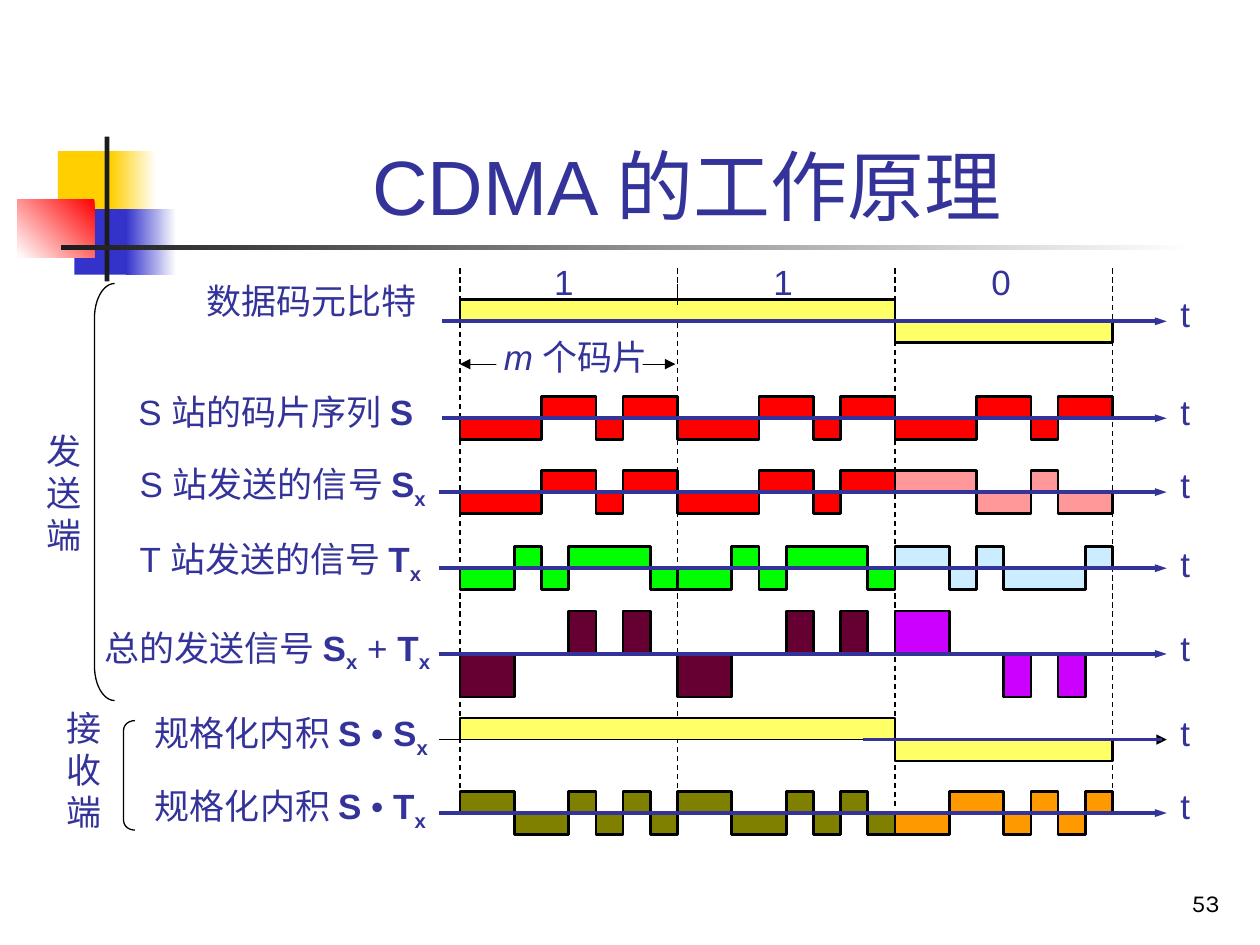
from lxml.etree import SubElement
from pptx import Presentation
from pptx.dml.color import RGBColor
from pptx.enum.dml import MSO_LINE as Dash
from pptx.enum.shapes import MSO_CONNECTOR as Connector, MSO_SHAPE as Shape
from pptx.enum.text import MSO_ANCHOR as Anchor, MSO_AUTO_SIZE as AutoSize, PP_ALIGN as Align
from pptx.oxml.ns import qn
from pptx.util import Pt

BLACK = RGBColor(0, 0, 0)
WHITE = RGBColor(255, 255, 255)
INDIGO = RGBColor(0x33, 0x33, 0x99)
CHARCOAL = RGBColor(0x1C, 0x1C, 0x1C)
GOLD = RGBColor(0xFF, 0xCF, 0x01)
BLUE = RGBColor(0x33, 0x33, 0xCC)
RED = RGBColor(0xFF, 0, 0)
PINK = RGBColor(0xFF, 0x99, 0x99)
GREEN = RGBColor(0, 0xFF, 0)
SKY = RGBColor(0xCC, 0xEC, 0xFF)
MAROON = RGBColor(0x66, 0, 0x33)
VIOLET = RGBColor(0xCC, 0, 0xFF)
OLIVE = RGBColor(0x80, 0x80, 0)
ORANGE = RGBColor(0xFF, 0x99, 0)
YELLOW = RGBColor(0xFF, 0xFF, 0x66)

TITLE = "CDMA 的工作原理 "
BITS = [("1", 309.6), ("1", 434.9), ("0", 559.4)]
SIDES = [("发\n送\n端", 19.4, 241.9), ("接\n收\n端", 31, 400.3)]
BRACKETS = [(54, 162, 11.5, 238.3, 1.72), (70.6, 411.8, 6.5, 62.6, 0.83)]

DECOR = [
    (33.1, 86.4, 34.6, 37.4, [GOLD], 0),
    (63.4, 86.4, 25.9, 37.4, [WHITE, GOLD], 180),
    (42.5, 119.5, 33.1, 37.4, [BLUE], 0),
    (72, 119.5, 28.8, 37.4, [WHITE, BLUE], 180),
    (10.1, 113.8, 43.9, 33.1, [RED, WHITE], 225),
    (59.8, 78, 2.7, 82.8, [CHARCOAL], 0),
    (34.6, 140.2, 648, 2.7, [WHITE, CHARCOAL], 180),
]

S_CODE = [-1, -1, -1, 1, 1, -1, 1, 1]
T_CODE = [-1, -1, 1, -1, 1, 1, 1, -1]
TOTAL = [s + t for s, t in zip(S_CODE, T_CODE)]
PRODUCT = [s * t for s, t in zip(S_CODE, T_CODE)]
DATA = [1] * 16 + [-1] * 8


def bits_110(code, one_colour, zero_colour):
    return [(code, one_colour), (code, one_colour), ([-level for level in code], zero_colour)]


ROWS = [
    dict(axis=183.6, start=252.7, t_top=163.4, at=(110.9, 156.2, 134.6, 31.7),
         label=[("数据码元比特", "")], waves=[(DATA, YELLOW)]),
    dict(axis=239, start=252.7, t_top=219.6, at=(72, 223.2, 184, 28), spacing=0.85,
         label=[("S 站的码片序列 ", ""), ("S", "b")], waves=[(S_CODE, RED)] * 3),
    dict(axis=281.2, start=250.6, t_top=261.4, at=(72.7, 260.6, 190, 34.6),
         label=[("S 站发送的信号 ", ""), ("S", "b"), ("x", "sub")],
         waves=bits_110(S_CODE, RED, PINK)),
    dict(axis=324.7, start=250.6, t_top=306.7, at=(72.7, 303.8, 187, 34.6),
         label=[("T 站发送的信号 ", ""), ("T", "b"), ("x", "sub")],
         waves=bits_110(T_CODE, GREEN, SKY)),
    dict(axis=373.7, start=250.6, t_top=354.2, at=(52.6, 354.2, 207, 34.6),
         label=[("总的发送信号 ", ""), ("S", "b"), ("x", "sub"), (" + ", ""),
                ("T", "b"), ("x", "sub")],
         waves=bits_110(TOTAL, MAROON, VIOLET)),
    dict(axis=422.6, start=250.6, t_top=403.2, at=(81.4, 403.2, 177, 34.6), thin=True,
         label=[("规格化内积 ", ""), ("S ", "b"), ("• ", ""), ("S", "b"), ("x", "sub")],
         waves=[(DATA, YELLOW)]),
    dict(axis=464.6, start=250.6, t_top=445, at=(81.4, 445, 176, 34.6),
         label=[("规格化内积 ", ""), ("S ", "b"), ("• ", ""), ("T", "b"), ("x", "sub")],
         waves=bits_110(PRODUCT, OLIVE, ORANGE)),
]
LEFT, CHIP, AMPLITUDE, AXIS_END = 262.8, 15.54, 12.3, 666.7
BIT = 8 * CHIP
GUIDE_TOP, GUIDE_BOTTOMS = 153.4, [452.2, 450.7, 462.2, 451.4]


def style(span, kind="", size=20, face="Arial", colour=INDIGO):
    span.font.size, span.font.name = Pt(size), face
    span.font.color.rgb = colour
    span.font.bold = kind in ("b", "sub")
    span.font.italic = kind == "i"
    if kind == "sub":
        span.font._element.set("baseline", "-25000")


def add_box(page, at):
    box = page.shapes.add_textbox(*map(Pt, at))
    box.text_frame.word_wrap = False
    box.text_frame.auto_size = AutoSize.SHAPE_TO_FIT_TEXT
    return box


def add_text(page, at, spans, spacing=None):
    para = add_box(page, at).text_frame.paragraphs[0]
    if spacing:
        para.line_spacing = spacing
    for words, kind in spans:
        span = para.add_run()
        span.text = words
        style(span, kind)


def add_line(page, x1, y1, x2, y2, colour=BLACK, width=0.75, dash=None, ends=()):
    line = page.shapes.add_connector(Connector.STRAIGHT, *map(Pt, (x1, y1, x2, y2)))
    line.line.color.rgb = colour
    line.line.width = Pt(width)
    if dash:
        line.line.dash_style = dash
    for end in ends:
        head = SubElement(line.line._get_or_add_ln(), qn(f"a:{end}"), type="triangle")
        head.set("w", "sm" if width > 1 else "med")
        head.set("len", "med")
    SubElement(line._element.spPr, qn("a:effectLst"))


def add_block(page, at, colours, angle=0):
    block = page.shapes.add_shape(Shape.RECTANGLE, *map(Pt, at))
    block.shadow.inherit = False
    block.line.fill.background()
    if len(colours) == 1:
        block.fill.solid()
        block.fill.fore_color.rgb = colours[0]
        return
    block.fill.gradient()
    block.fill.gradient_angle = angle
    for stop, colour in zip(block.fill.gradient_stops, colours):
        stop.color.rgb = colour


def add_wave(page, x, axis, levels, colour):
    points = []
    for index, level in enumerate(levels):
        y = axis - level * AMPLITUDE
        points += [(x + index * CHIP, y), (x + (index + 1) * CHIP, y)]
    points.append((x + len(levels) * CHIP, axis))
    builder = page.shapes.build_freeform(Pt(x), Pt(axis))
    builder.add_line_segments([(Pt(px), Pt(py)) for px, py in points], close=False)
    wave = builder.convert_to_shape()
    wave.shadow.inherit = False
    wave.fill.solid()
    wave.fill.fore_color.rgb = colour
    wave.line.color.rgb = BLACK
    wave.line.width = Pt(1.5)


def add_row(page, row):
    x, axis = LEFT, row["axis"]
    for levels, colour in row["waves"]:
        add_wave(page, x, axis, levels, colour)
        x += len(levels) * CHIP
    colour, width = (BLACK, 0.75) if row.get("thin") else (INDIGO, 2.25)
    add_line(page, row["start"], axis, AXIS_END, axis, colour, width, ends=["tailEnd"])
    if row.get("thin"):
        add_line(page, 493.2, axis, 663.8, axis, INDIGO, 2.25)
    add_text(page, row["at"], row["label"], row.get("spacing"))
    add_text(page, (667.4, row["t_top"], 19.4, 31.7), [("t", "")])


def main():
    deck = Presentation()
    deck.slide_width, deck.slide_height = Pt(720), Pt(540)
    page = deck.slides.add_slide(deck.slide_layouts[5])
    for *at, colours, angle in DECOR:
        add_block(page, at, colours, angle)

    title = page.shapes.title
    title.left, title.top, title.width, title.height = map(Pt, (90.7, 20.2, 613.4, 115.2))
    title.text_frame.text = TITLE
    title.text_frame.vertical_anchor = Anchor.BOTTOM
    title.text_frame.paragraphs[0].alignment = Align.CENTER
    style(title.text_frame.paragraphs[0].runs[0], size=44)

    for index, bottom in enumerate(GUIDE_BOTTOMS):
        x = LEFT + index * BIT
        add_line(page, x, GUIDE_TOP, x, bottom, dash=Dash.DASH)
    add_line(page, LEFT, 208.1, LEFT + BIT - 1.2, 208.1, ends=["headEnd", "tailEnd"])
    add_block(page, (283.7, 195.8, 83.5, 21.6), [WHITE])
    add_text(page, (280.8, 187.9, 101.5, 31.7), [("m ", "i"), ("个码片", "")])
    for row in ROWS:
        add_row(page, row)
    add_line(page, LEFT + BIT, 162, LEFT + BIT, 174.2)
    for digit, x in BITS:
        add_text(page, (x, 145.4, 25.2, 31.7), [(digit, "")])

    for words, x, y in SIDES:
        box = add_box(page, (x, y, 34.6, 79.2))
        box.text_frame.text = words
        for para in box.text_frame.paragraphs:
            style(para.runs[0])
    for *at, curve in BRACKETS:
        bracket = page.shapes.add_shape(Shape.LEFT_BRACKET, *map(Pt, at))
        bracket.adjustments[0] = curve
        bracket.shadow.inherit = False
        bracket.fill.background()
        bracket.line.color.rgb = BLACK
        bracket.line.width = Pt(0.75)

    number = page.shapes.add_textbox(*map(Pt, (554.4, 491.8, 149.8, 36)))
    number.text_frame.word_wrap = True
    number.text_frame.text = "53"
    number.text_frame.vertical_anchor = Anchor.BOTTOM
    number.text_frame.paragraphs[0].alignment = Align.RIGHT
    style(number.text_frame.paragraphs[0].runs[0], size=14, face="Karla", colour=BLACK)
    deck.save("out.pptx")


if __name__ == "__main__":
    main()
